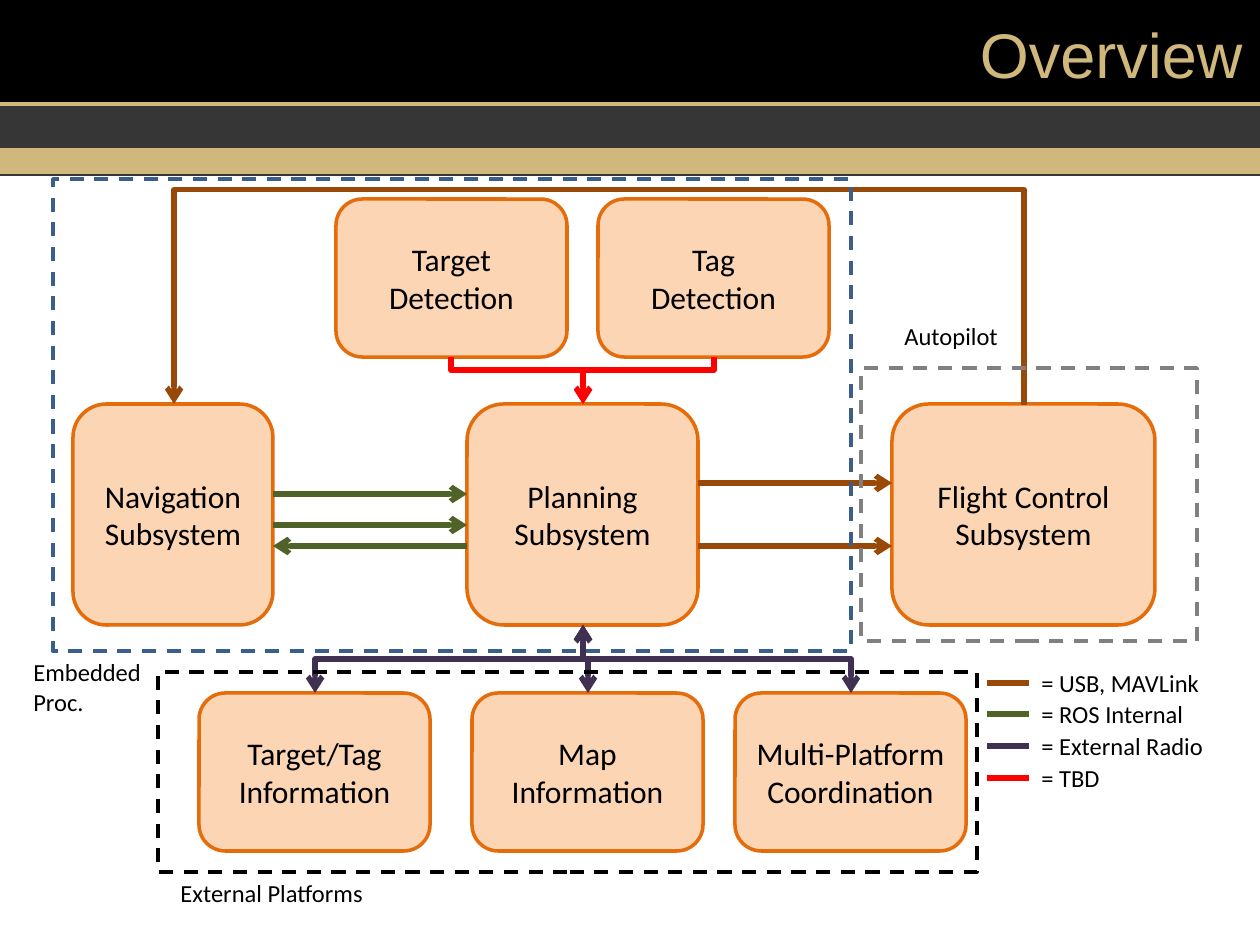
import pptx
import pptx.util
import pptx.dml.color
import pptx.enum.dml
import pptx.enum.shapes
import pptx.enum.text
import pptx.oxml
import pptx.oxml.ns

RGBColor = pptx.dml.color.RGBColor
ShapeKind = pptx.enum.shapes.MSO_SHAPE
ConnectorKind = pptx.enum.shapes.MSO_CONNECTOR
Align = pptx.enum.text.PP_ALIGN
Anchor = pptx.enum.text.MSO_ANCHOR

BLACK = RGBColor(0x00, 0x00, 0x00)
GOLD = RGBColor(0xD0, 0xB8, 0x7C)
CHARCOAL = RGBColor(0x36, 0x36, 0x36)
PEACH = RGBColor(0xFC, 0xD5, 0xB5)
ORANGE = RGBColor(0xE4, 0x6C, 0x0A)
BROWN = RGBColor(0x98, 0x48, 0x07)
GREEN = RGBColor(0x4F, 0x62, 0x28)
PURPLE = RGBColor(0x40, 0x31, 0x52)
RED = RGBColor(0xFF, 0x00, 0x00)
BLUE = RGBColor(0x3A, 0x5F, 0x8C)
GRAY = RGBColor(0x80, 0x80, 0x80)

PIXELS_PER_INCH = 126


def px(pixels):
    return pptx.util.Emu(round(pixels * 914400 / PIXELS_PER_INCH))


def add_text(paragraph, text, size, color=BLACK, font="Calibri", align=Align.LEFT):
    paragraph.alignment = align
    run = paragraph.add_run()
    run.text = text
    run.font.size = pptx.util.Pt(size)
    run.font.name = font
    run.font.color.rgb = color


def add_panel(slide, bounds, fill=None, line=None, kind=ShapeKind.RECTANGLE, dashed=False):
    shape = slide.shapes.add_shape(kind, *map(px, bounds))
    shape.shadow.inherit = False
    if fill is None:
        shape.fill.background()
    else:
        shape.fill.solid()
        shape.fill.fore_color.rgb = fill
    if line is None:
        shape.line.fill.background()
    else:
        shape.line.color.rgb = line
        shape.line.width = pptx.util.Pt(2)
    if dashed:
        shape.line.dash_style = pptx.enum.dml.MSO_LINE.DASH
    return shape


def add_box(slide, bounds, lines):
    shape = add_panel(slide, bounds, PEACH, ORANGE, ShapeKind.ROUNDED_RECTANGLE)
    frame = shape.text_frame
    frame.word_wrap = False
    frame.vertical_anchor = Anchor.MIDDLE
    for index, line in enumerate(lines):
        paragraph = frame.add_paragraph() if index else frame.paragraphs[0]
        add_text(paragraph, line, 18, align=Align.CENTER)


def add_label(slide, bounds, text):
    frame = slide.shapes.add_textbox(*map(px, bounds)).text_frame
    frame.word_wrap = True
    add_text(frame.paragraphs[0], text, 14)


def add_line(slide, start, end, color, width=3, ends=(), kind=ConnectorKind.STRAIGHT):
    connector = slide.shapes.add_connector(kind, *map(px, start + end))
    connector.line.color.rgb = color
    connector.line.width = pptx.util.Pt(width)
    properties = connector.element.spPr
    outline = properties.find(pptx.oxml.ns.qn("a:ln"))
    namespace = pptx.oxml.ns.nsdecls("a")
    for end_name in ends:
        outline.append(pptx.oxml.parse_xml(f'<a:{end_name} {namespace} type="arrow"/>'))
    properties.append(pptx.oxml.parse_xml(f"<a:effectLst {namespace}/>"))
    return connector


def add_elbow(slide, start, end, bend_y, color, ends=("tailEnd",)):
    (x1, y1), (x2, y2) = start, end
    along, across = abs(y2 - y1), abs(x2 - x1)
    left = (x1 + x2 - along) / 2
    top = (y1 + y2 - across) / 2
    connector = add_line(slide, (left, top), (left + along, top + across),
                         color, ends=ends, kind=ConnectorKind.ELBOW)
    upward, rightward = y2 < y1, x2 > x1
    properties = connector.element.spPr
    transform = properties.find(pptx.oxml.ns.qn("a:xfrm"))
    transform.set("rot", str((270 if upward != rightward else 90) * 60000))
    transform.set("flipH", str(int(rightward)))
    transform.set("flipV", str(int(upward)))
    geometry = properties.find(pptx.oxml.ns.qn("a:prstGeom"))
    for values in geometry.findall(pptx.oxml.ns.qn("a:avLst")):
        geometry.remove(values)
    bend = round((bend_y - y1) / (y2 - y1) * 100000)
    geometry.append(pptx.oxml.parse_xml(
        f'<a:avLst {pptx.oxml.ns.nsdecls("a")}>'
        f'<a:gd name="adj1" fmla="val {bend}"/></a:avLst>'))


def add_header(slide):
    add_panel(slide, (0, 0, 1260, 103), BLACK)
    add_line(slide, (0, 105), (1260, 105), GOLD)
    add_panel(slide, (0, 149, 1260, 25), GOLD, GOLD)
    add_panel(slide, (0, 108, 1260, 38), CHARCOAL, CHARCOAL)
    add_line(slide, (0, 175), (1260, 175), CHARCOAL, 0.75)
    title = slide.shapes.title
    title.left, title.top, title.width, title.height = map(px, (426, 3, 829, 101))
    title.text_frame.vertical_anchor = Anchor.MIDDLE
    add_text(title.text_frame.paragraphs[0], "Overview", 36, GOLD, "Arial", Align.RIGHT)
    title.element.getparent().append(title.element)


def add_boxes(slide):
    for left, width, lines in (
            (73, 200, ("Navigation", "Subsystem")),
            (467, 231, ("Planning", "Subsystem")),
            (892, 263, ("Flight Control", "Subsystem"))):
        add_box(slide, (left, 404, width, 221), lines)
    for left, top, lines in (
            (336, 199, ("Target", "Detection")),
            (598, 199, ("Tag", "Detection")),
            (199, 693, ("Target/Tag", "Information")),
            (472, 693, ("Map", "Information")),
            (735, 693, ("Multi-Platform", "Coordination"))):
        add_box(slide, (left, top, 231, 158), lines)


def add_links(slide):
    for x in (315, 588, 851):
        add_elbow(slide, (x, 693), (583, 625), 659, PURPLE, ("headEnd", "tailEnd"))
    for x in (451, 714):
        add_elbow(slide, (x, 357), (583, 404), 370, RED)
    add_elbow(slide, (1024, 405), (174, 404), 188, BROWN)
    for x1, x2, y, color in (
            (273, 467, 494, GREEN), (273, 467, 525, GREEN), (467, 273, 546, GREEN),
            (698, 892, 483, BROWN), (698, 892, 546, BROWN)):
        add_line(slide, (x1, y), (x2, y), color, ends=("tailEnd",))


def add_legend(slide):
    entries = ((BROWN, "= USB, MAVLink"), (GREEN, "= ROS Internal"),
               (PURPLE, "= External Radio"), (RED, "= TBD"))
    for index, (color, text) in enumerate(entries):
        y = round(683 + 31.5 * index)
        add_line(slide, (987, y), (1029, y), color)
        add_label(slide, (1029, y - 21, 189, 43), text)


def add_groups(slide):
    for bounds, color in (((53, 179, 798, 472), BLUE),
                          ((861, 368, 336, 273), GRAY),
                          ((158, 672, 819, 200), BLACK)):
        add_panel(slide, bounds, line=color, dashed=True)
    add_label(slide, (168, 872, 410, 43), "External Platforms")
    add_label(slide, (892, 315, 122, 43), "Autopilot")
    add_label(slide, (21, 651, 150, 72), "Embedded Proc.")


def main():
    presentation = pptx.Presentation()
    presentation.slide_width = px(1260)
    presentation.slide_height = px(945)
    slide = presentation.slides.add_slide(presentation.slide_layouts[5])
    add_header(slide)
    add_boxes(slide)
    add_links(slide)
    add_legend(slide)
    add_groups(slide)
    presentation.save("out.pptx")


main()
